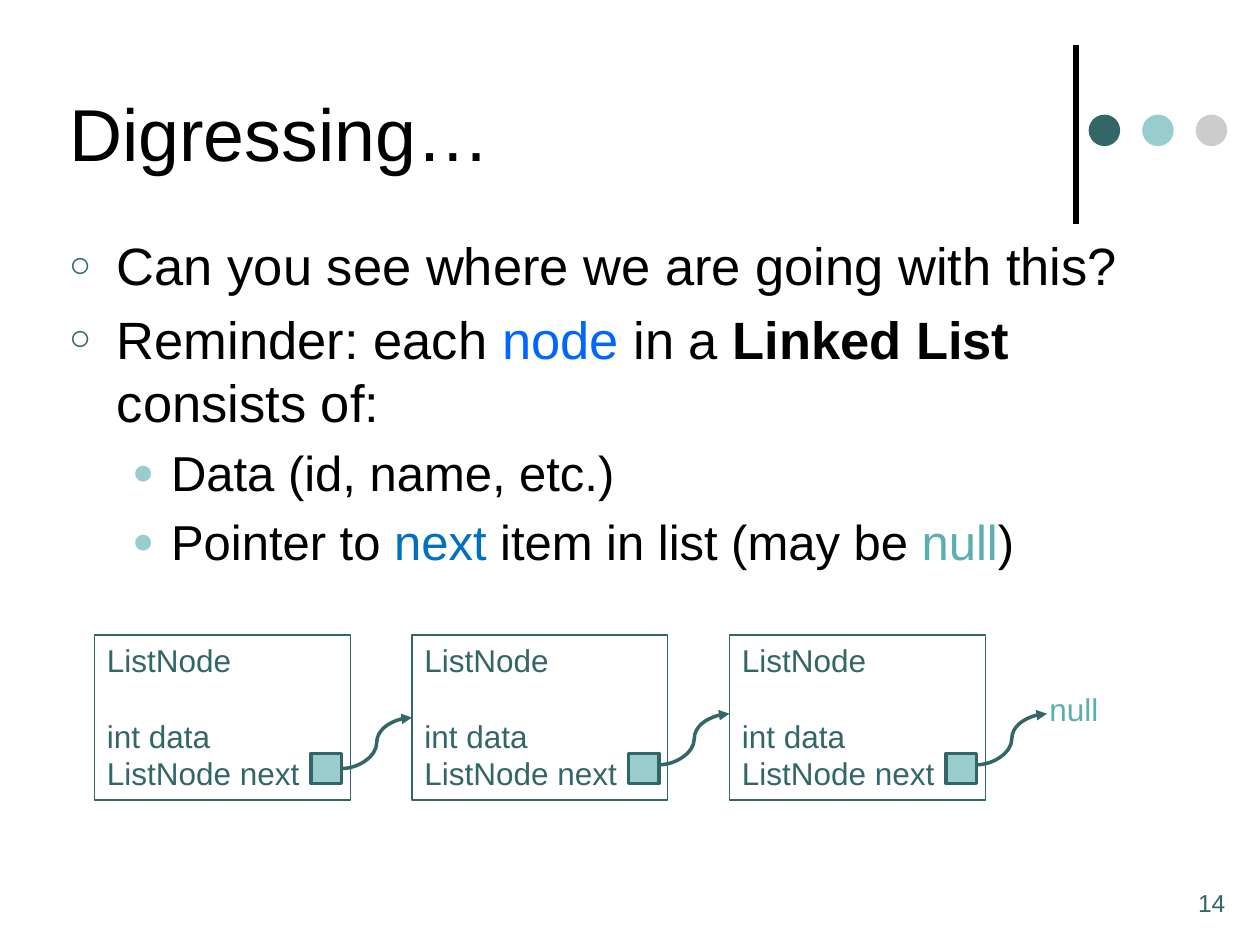
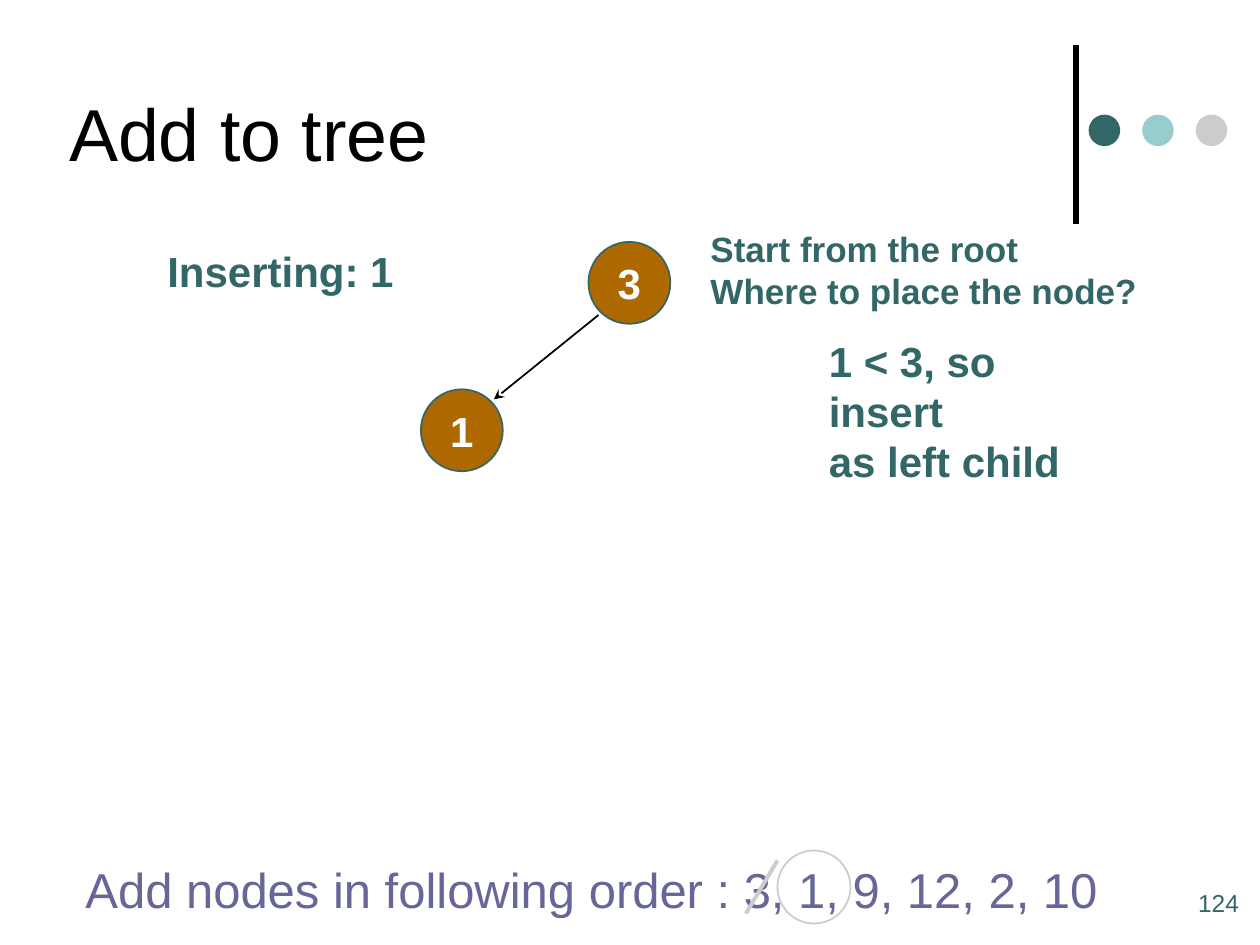
import pptx
import pptx.util
import pptx.dml.color
import pptx.enum.shapes
import pptx.enum.text
import pptx.oxml.ns
from lxml import etree

Inches = pptx.util.Inches
Pt = pptx.util.Pt
SHAPES = pptx.enum.shapes.MSO_SHAPE
CONNECTORS = pptx.enum.shapes.MSO_CONNECTOR
ALIGN = pptx.enum.text.PP_ALIGN
ANCHOR = pptx.enum.text.MSO_ANCHOR
qn = pptx.oxml.ns.qn

FONT = "Arial"
BLACK = "000000"
WHITE = "FFFFFF"
TEAL = "336666"
AQUA = "99CCCC"
GREY = "CCCCCC"
BROWN = "AD6900"
PURPLE = "666699"
NULL_TEAL = "5DAEAE"


def color(hex_string):
    return pptx.dml.color.RGBColor.from_string(hex_string)


def add_run(paragraph, text, size, hex_string, bold=False):
    run = paragraph.add_run()
    run.text = text
    run.font.name = FONT
    run.font.size = Pt(size)
    run.font.bold = bold
    run.font.color.rgb = color(hex_string)


def write_lines(frame, lines, size, hex_string, bold=False, align=ALIGN.LEFT):
    for index, line in enumerate(lines):
        paragraph = frame.paragraphs[0] if index == 0 else frame.add_paragraph()
        paragraph.alignment = align
        add_run(paragraph, line, size, hex_string, bold)


def add_text(slide, box, lines, size, hex_string, bold=False, wrap=False, anchor=ANCHOR.TOP):
    frame = slide.shapes.add_textbox(*map(Inches, box)).text_frame
    frame.word_wrap = wrap
    frame.vertical_anchor = anchor
    write_lines(frame, lines, size, hex_string, bold)


def add_shape(slide, preset, box, fill=None, line=None, width=1):
    shape = slide.shapes.add_shape(preset, *map(Inches, box))
    shape.shadow.inherit = False
    if fill:
        shape.fill.solid()
        shape.fill.fore_color.rgb = color(fill)
    else:
        shape.fill.background()
    if line:
        shape.line.color.rgb = color(line)
        shape.line.width = Pt(width)
    else:
        shape.line.fill.background()
    return shape


def add_line(slide, start, end, hex_string, width, kind=CONNECTORS.STRAIGHT, arrow=None):
    connector = slide.shapes.add_connector(kind, *map(Inches, (*start, *end)))
    connector.line.color.rgb = color(hex_string)
    connector.line.width = Pt(width)
    if arrow:
        etree.SubElement(connector.line._get_or_add_ln(), qn("a:tailEnd"), type=arrow)
    etree.SubElement(connector._element.spPr, qn("a:effectLst"))


def set_bullet(paragraph, character, hex_string, percent, margin, indent):
    properties = paragraph._p.get_or_add_pPr()
    properties.set("marL", str(Inches(margin)))
    properties.set("indent", str(Inches(indent)))
    bullet_color = etree.SubElement(properties, qn("a:buClr"))
    etree.SubElement(bullet_color, qn("a:srgbClr"), val=hex_string)
    etree.SubElement(properties, qn("a:buSzPct"), val=str(percent * 1000))
    etree.SubElement(properties, qn("a:buFont"), typeface=FONT)
    etree.SubElement(properties, qn("a:buChar"), char=character)


def add_base_slide(presentation, title, number):
    slide = presentation.slides.add_slide(presentation.slide_layouts[6])
    add_line(slide, (8.54, 1.78), (8.54, 0.36), BLACK, 3)
    for index, fill in enumerate((TEAL, AQUA, GREY)):
        add_shape(slide, SHAPES.OVAL, (8.64 + 0.425 * index, 0.91, 0.25, 0.25), fill)
    add_text(slide, (0.45, 0.21, 7.67, 1.67), [title], 42, BLACK, wrap=True, anchor=ANCHOR.MIDDLE)
    add_text(slide, (9.41, 7, 0.59, 0.5), [number], 14, TEAL)
    return slide


def add_bullets(slide, box, items):
    levels = (
        (30, ("○", TEAL, 70, 0.38, -0.38)),
        (28, ("●", AQUA, 75, 0.81, -0.31)),
    )
    frame = slide.shapes.add_textbox(*map(Inches, box)).text_frame
    frame.word_wrap = True
    for index, (level, runs) in enumerate(items):
        size, bullet = levels[level]
        paragraph = frame.paragraphs[0] if index == 0 else frame.add_paragraph()
        paragraph.level = level
        paragraph.space_before = Pt(size * 0.2)
        set_bullet(paragraph, *bullet)
        for text, hex_string, bold in runs:
            add_run(paragraph, text, size, hex_string, bold)


def add_list_node(slide, left, top, pointer_lift):
    width, height, socket = 2.03, 1.31, 0.24
    node = add_shape(slide, SHAPES.RECTANGLE, (left, top, width, height), line=TEAL, width=0.75)
    frame = node.text_frame
    frame.word_wrap = False
    frame.vertical_anchor = ANCHOR.TOP
    write_lines(frame, ["ListNode", "int data", "ListNode next"], 18, TEAL)
    frame.paragraphs[1].space_before = Pt(21.5)
    add_shape(slide, SHAPES.RECTANGLE, (left + 1.72, top + 0.94, socket, socket), AQUA, TEAL, 2)
    start = (left + 1.96, top + 1.06 - pointer_lift)
    end = (left + 2.52, top + height / 2 - pointer_lift)
    add_line(slide, start, end, TEAL, 2, CONNECTORS.CURVE, "triangle")


def add_linked_list(slide, left, top):
    for index, pointer_lift in enumerate((0, 0.03, 0.03)):
        add_list_node(slide, left + 2.52 * index, top, pointer_lift)
    add_text(slide, (left + 7.48, top + 0.39, 0.59, 0.4), ["null"], 18, NULL_TEAL)


def add_tree_node(slide, left, top, label):
    node = add_shape(slide, SHAPES.OVAL, (left, top, 0.65, 0.65), BROWN, TEAL)
    frame = node.text_frame
    frame.word_wrap = False
    frame.vertical_anchor = ANCHOR.MIDDLE
    write_lines(frame, [label], 24, WHITE, True, ALIGN.CENTER)


def add_tree(slide, left, top):
    add_tree_node(slide, left + 1.33, top, "3")
    add_tree_node(slide, left, top + 1.17, "1")
    add_line(slide, (left + 1.41, top + 0.58), (left + 0.58, top + 1.25), BLACK, 1, arrow="stealth")


def add_insert_order(slide, left, top):
    add_text(slide, (left, top, 8.47, 0.57),
             ["Add nodes in following order : 3, 1, 9, 12, 2, 10"], 28, PURPLE)
    add_shape(slide, SHAPES.OVAL, (left + 5.59, top - 0.02, 0.58, 0.58), line=GREY)
    add_line(slide, (left + 5.59, top + 0.06), (left + 5.34, top + 0.48), GREY, 2.25)


def build_digressing(presentation):
    slide = add_base_slide(presentation, "Digressing…", "14")
    add_bullets(slide, (0.45, 1.8, 8.57, 5.42), [
        (0, [("Can you see where we are going with this?", BLACK, False)]),
        (0, [("Reminder: each ", BLACK, False), ("node", "0066FF", False),
             (" in a ", BLACK, False), ("Linked List ", BLACK, True),
             ("consists of:", BLACK, False)]),
        (1, [("Data (id, name, etc.)", BLACK, False)]),
        (1, [("Pointer to ", BLACK, False), ("next", "0070C0", False),
             (" item in list (may be ", BLACK, False), ("null", NULL_TEAL, False),
             (")", BLACK, False)]),
    ])
    add_linked_list(slide, 0.75, 5.04)


def build_add_to_tree(presentation):
    slide = add_base_slide(presentation, "Add to tree", "124")
    add_text(slide, (1.23, 1.9, 2, 0.5), ["Inserting: 1"], 24, TEAL, True)
    add_tree(slide, 3.34, 1.92)
    add_text(slide, (6.48, 2.61, 2.4, 0.9), ["1 < 3, so insert", "as left child"],
             24, TEAL, True, wrap=True)
    add_insert_order(slide, 0.58, 6.77)
    add_text(slide, (5.54, 1.76, 3.61, 0.77),
             ["Start from the root", "Where to place the node?"], 20, TEAL, True)


def main():
    presentation = pptx.Presentation()
    presentation.slide_width = Inches(10)
    presentation.slide_height = Inches(7.5)
    build_digressing(presentation)
    build_add_to_tree(presentation)
    presentation.save("out.pptx")


if __name__ == "__main__":
    main()
